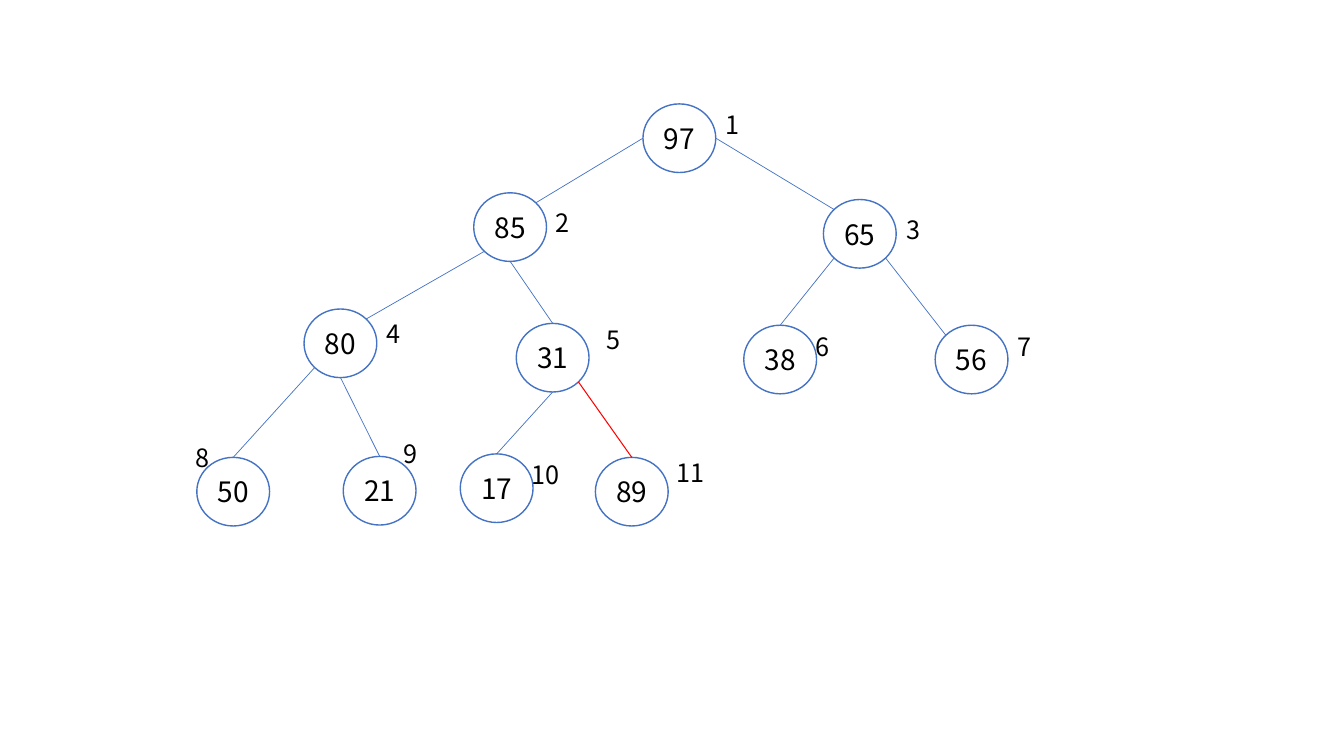
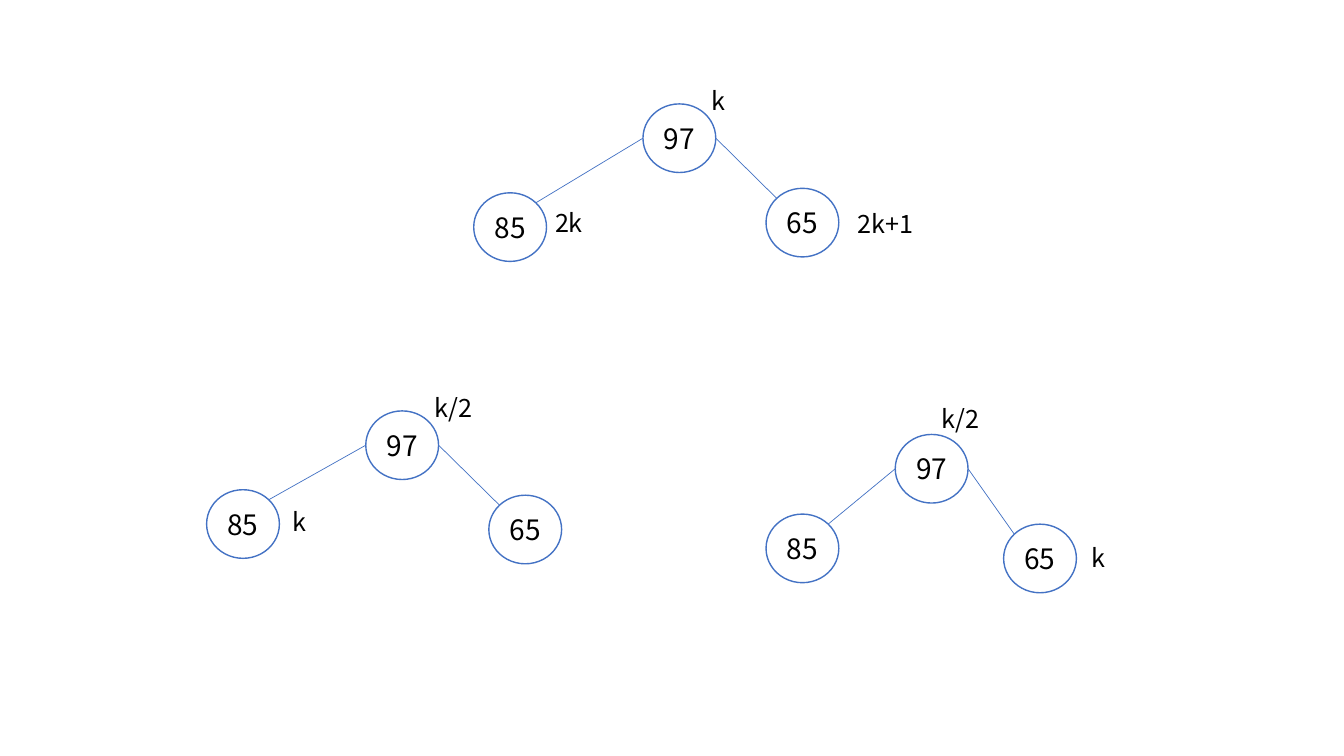
from math import cos, radians, sin

from lxml.etree import SubElement
from pptx import Presentation
from pptx.dml.color import RGBColor
from pptx.enum.shapes import MSO_CONNECTOR, MSO_SHAPE
from pptx.enum.text import MSO_ANCHOR, MSO_AUTO_SIZE, PP_ALIGN
from pptx.oxml.ns import qn
from pptx.util import Pt

WIDE, HIGH = 52, 49
ANGLES = {"E": 0, "SE": 45, "S": 90, "SW": 135,
          "W": 180, "NW": 225, "N": 270, "NE": 315}


def tint(code):
    return RGBColor.from_string(code)


class Deck:
    """Draw binary trees on blank slides in one shared style."""

    blue, red, white, black = "4472C4", "FF0000", "FFFFFF", "000000"
    font = "Noto Sans CJK SC"
    circle = {"margin_left": 0, "margin_right": 0, "word_wrap": True,
              "vertical_anchor": MSO_ANCHOR.MIDDLE}
    label = {"word_wrap": True, "auto_size": MSO_AUTO_SIZE.SHAPE_TO_FIT_TEXT}

    def __init__(self):
        self.show = Presentation()
        self.show.slide_width, self.show.slide_height = Pt(960), Pt(540)
        self.slide = None

    def page(self):
        self.slide = self.show.slides.add_slide(self.show.slide_layouts[6])

    def letter(self, shape, text, size, align, style):
        frame = shape.text_frame
        for name, value in style.items():
            setattr(frame, name, value)
        para = frame.paragraphs[0]
        para.alignment = align
        run = para.add_run()
        run.text = text
        for name, value in {"name": self.font, "size": Pt(size)}.items():
            setattr(run.font, name, value)
        run.font.color.rgb = tint(self.black)

    def node(self, text, left, top):
        shape = self.slide.shapes.add_shape(
            MSO_SHAPE.OVAL, Pt(left), Pt(top), Pt(WIDE), Pt(HIGH))
        shape.shadow.inherit = False
        shape.fill.solid()
        shape.fill.fore_color.rgb = tint(self.white)
        shape.line.color.rgb = tint(self.blue)
        shape.line.width = Pt(1)
        self.letter(shape, text, 20, PP_ALIGN.CENTER, self.circle)

    def tag(self, text, left, top, width):
        box = self.slide.shapes.add_textbox(
            Pt(left), Pt(top), Pt(width), Pt(29))
        self.letter(box, text, 18, PP_ALIGN.LEFT, self.label)

    def edge(self, start, end, color, width):
        ends = [Pt(value) for value in (*start, *end)]
        line = self.slide.shapes.add_connector(MSO_CONNECTOR.STRAIGHT, *ends)
        line.line.color.rgb = tint(color)
        line.line.width = Pt(width)
        SubElement(line._element.spPr, qn("a:effectLst"))

    def tree(self, nodes, links, tags, hot=None):
        for text, spot in nodes.items():
            self.node(text, *spot)
        for head, out, tail, into in links:
            look = (self.red, 0.75) if tail == hot else (self.blue, 0.5)
            self.edge(rim(nodes[head], out), rim(nodes[tail], into), *look)
        for text, owner, right, down, width in tags:
            left, top = nodes[owner]
            self.tag(text, left + right, top + down, width)


def rim(spot, side):
    angle = radians(ANGLES[side])
    return (spot[0] + WIDE / 2 * (1 + cos(angle)),
            spot[1] + HIGH / 2 * (1 + sin(angle)))


FORK = [("97", "W", "85", "NE"), ("97", "E", "65", "NW")]

HEAP = {
    "97": (459.3, 74.2), "85": (338.4, 137.7), "65": (588.2, 142.5),
    "80": (217.2, 220.7), "31": (368.8, 231), "38": (531.3, 232.3),
    "56": (668, 232.3), "50": (140.6, 326.7), "21": (245.2, 326),
    "17": (328.8, 324.2), "89": (425.3, 326.7),
}
LINKS = FORK + [
    ("85", "SW", "80", "NE"), ("85", "S", "31", "N"),
    ("65", "SW", "38", "N"), ("65", "SE", "56", "NW"),
    ("80", "SW", "50", "N"), ("80", "S", "21", "N"),
    ("31", "S", "17", "N"), ("31", "SE", "89", "N"),
]
TAGS = [
    ("1", "97", 52, 0, 20), ("2", "85", 51, 7, 20), ("3", "65", 52, 7, 20),
    ("4", "80", 52, 3, 20), ("5", "31", 57.5, -3, 20),
    ("6", "38", 44.5, 1, 20), ("7", "56", 52, 1, 20),
    ("8", "50", -8, -14.5, 20), ("9", "21", 36, -16.5, 20),
    ("10", "17", 44, 0, 35), ("11", "89", 51, -3.5, 40),
]
TRIOS = [
    ([(459.3, 74.2), (338.4, 137.7), (547.2, 134.5)],
     [("k", "97", 42, -16.5, 20), ("2k", "85", 51, 7, 42),
      ("2k+1", "65", 58.5, 10.5, 72)]),
    ([(261.3, 293.5), (147.6, 349.8), (349.2, 353.7)],
     [("k/2", "97", 42, -17, 65), ("k", "85", 54.5, 8.5, 42)]),
    ([(639.5, 310.3), (547.2, 367.2), (716.9, 374.4)],
     [("k/2", "97", 26, -26, 65), ("k", "65", 55.5, 9.5, 30)]),
]


def main():
    deck = Deck()
    deck.page()
    deck.tree(HEAP, LINKS, TAGS, hot="89")
    deck.page()
    for spots, tags in TRIOS:
        deck.tree(dict(zip(("97", "85", "65"), spots)), FORK, tags)
    deck.show.save("out.pptx")


if __name__ == "__main__":
    main()
